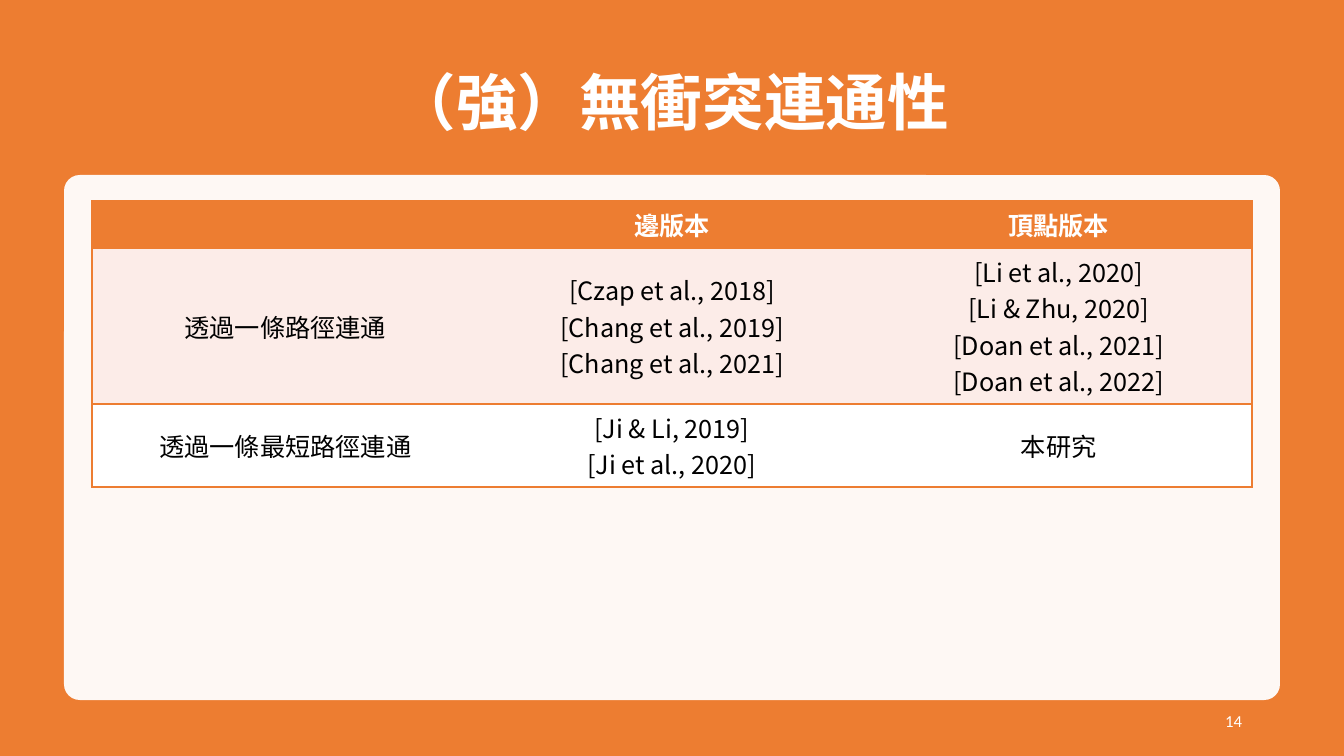
from lxml.etree import SubElement
from pptx import Presentation
from pptx.dml.color import RGBColor
from pptx.enum.shapes import MSO_SHAPE as Shape
from pptx.enum.text import MSO_ANCHOR as Anchor, PP_ALIGN as Align
from pptx.oxml import parse_xml
from pptx.oxml.ns import nsdecls, qn
from pptx.util import Pt

TITLE = "（強）無衝突連通性"
PAGE_NUMBER = "14"
ROWS = [
    [[], ["邊版本"], ["頂點版本"]],
    [
        ["透過一條路徑連通"],
        ["[Czap et al., 2018]", "[Chang et al., 2019]", "[Chang et al., 2021]"],
        ["[Li et al., 2020]", "[Li & Zhu, 2020]", "[Doan et al., 2021]", "[Doan et al., 2022]"],
    ],
    [
        ["透過一條最短路徑連通"],
        ["[Ji & Li, 2019]", "[Ji et al., 2020]"],
        ["本研究"],
    ],
]
ROW_HEIGHTS = [47, 156, 83]

ORANGE = RGBColor(0xED, 0x7D, 0x31)
PINK = RGBColor(0xFC, 0xEC, 0xE8)
WHITE = RGBColor(0xFF, 0xFF, 0xFF)
BLACK = RGBColor(0, 0, 0)
ROW_FILLS = [ORANGE, PINK, WHITE]
CJK = "Noto Sans CJK JP"
SCALE = 914400 / 100.8


def px(*lengths):
    return [round(length * SCALE) for length in lengths]


def write(frame, lines, size=18, font=CJK, color=BLACK, bold=False,
          align=Align.CENTER, spacing=None, after=None):
    for index, line in enumerate(lines):
        para = frame.add_paragraph() if index else frame.paragraphs[0]
        para.alignment = align
        para.line_spacing = spacing
        para.space_after = after
        span = para.add_run()
        span.text = line
        span.font.size = Pt(size)
        span.font.name = font
        span.font.bold = bold
        span.font.color.rgb = color
        east_asian = parse_xml(f'<a:ea {nsdecls("a")} typeface="{font}"/>')
        span.font._element.find(qn("a:latin")).addnext(east_asian)


def add_panel(page, kind, box, color):
    panel = page.shapes.add_shape(kind, *px(*box))
    panel.shadow.inherit = False
    panel.fill.solid()
    panel.fill.fore_color.rgb = color
    panel.line.fill.background()
    return panel


def set_borders(cell, visible):
    properties = cell._tc.get_or_add_tcPr()
    for position, side in enumerate("LRTB"):
        paint = (f'<a:solidFill><a:srgbClr val="{ORANGE}"/></a:solidFill>'
                 if side in visible else "<a:noFill/>")
        border = parse_xml(f'<a:ln{side} {nsdecls("a")} w="12700">{paint}</a:ln{side}>')
        properties.insert(position, border)


def add_comparison(page):
    box = px(92, 201, 1160, sum(ROW_HEIGHTS))
    table = page.shapes.add_table(len(ROWS), len(ROWS[0]), *box).table
    table.first_row = True
    table.horz_banding = False
    last = len(ROWS[0]) - 1
    for r, row in enumerate(ROWS):
        table.rows[r].height = px(ROW_HEIGHTS[r])[0]
        for c, lines in enumerate(row):
            cell = table.cell(r, c)
            cell.vertical_anchor = Anchor.MIDDLE
            cell.fill.solid()
            cell.fill.fore_color.rgb = ROW_FILLS[r]
            set_borders(cell, "TB" + ("L" if c == 0 else "") + ("R" if c == last else ""))
            write(cell.text_frame, lines, color=BLACK if r else WHITE, bold=r == 0)


def main():
    deck = Presentation()
    deck.slide_width, deck.slide_height = px(1344, 756)
    page = deck.slides.add_slide(deck.slide_layouts[5])

    title = page.shapes.title
    title.left, title.top, title.width, title.height = px(92, 50, 1160, 111)
    title.text_frame.vertical_anchor = Anchor.MIDDLE
    write(title.text_frame, [TITLE], size=44, color=WHITE, bold=True, spacing=0.9)

    backdrop = add_panel(page, Shape.RECTANGLE, (0, 0, 1344, 756), ORANGE)
    title.element.addprevious(backdrop.element)

    card = add_panel(page, Shape.ROUNDED_RECTANGLE, (64, 175, 1216, 525), WHITE)
    card.adjustments[0] = 0.03
    tint = card.element.spPr.find(qn("a:solidFill"))[0]
    SubElement(tint, qn("a:alpha")).set("val", "95000")

    number = page.shapes.add_textbox(*px(950, 701, 302, 40)).text_frame
    number.word_wrap = True
    number.vertical_anchor = Anchor.MIDDLE
    write(number, [PAGE_NUMBER], size=12, font="Calibri", color=WHITE,
          align=Align.RIGHT, after=Pt(6))

    add_comparison(page)
    deck.save("out.pptx")


if __name__ == "__main__":
    main()
